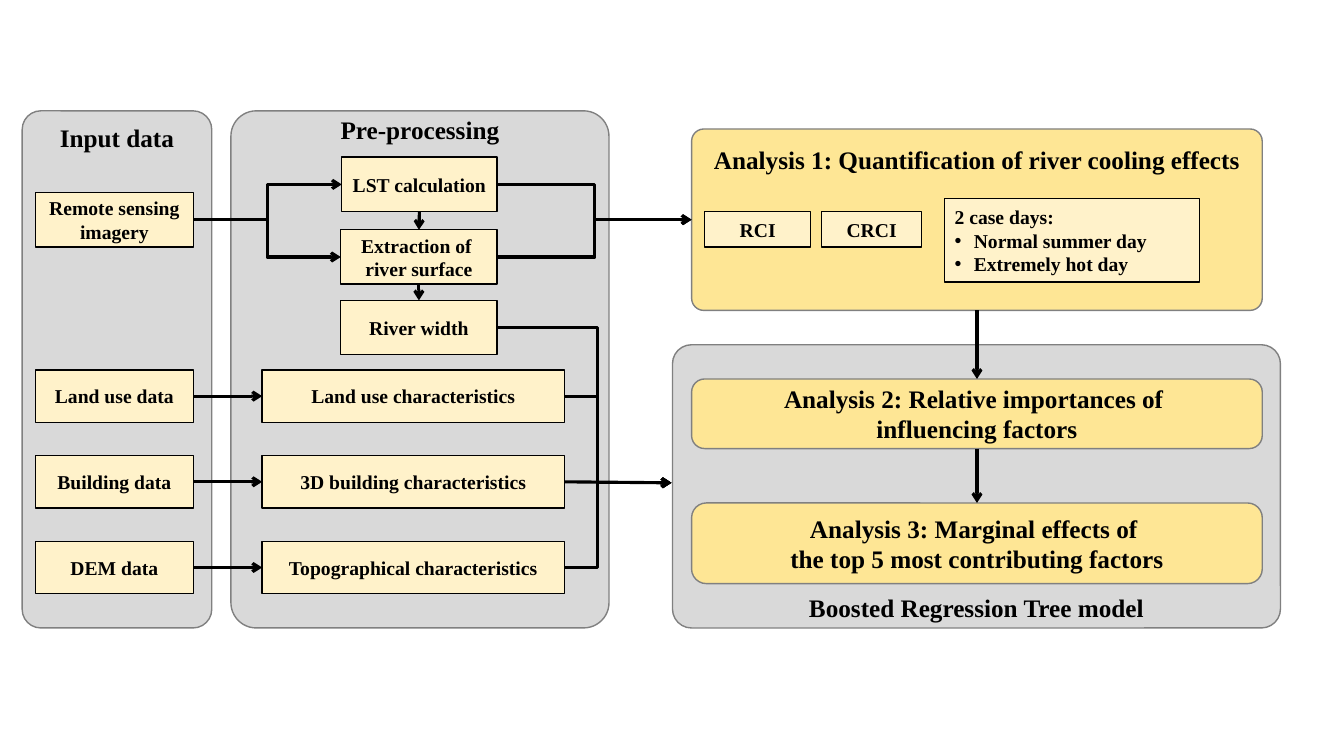
from pptx import Presentation
from pptx.dml.color import RGBColor
from pptx.enum.shapes import MSO_CONNECTOR, MSO_SHAPE
from pptx.enum.text import MSO_ANCHOR, PP_ALIGN
from pptx.oxml.ns import qn
from pptx.util import Inches, Pt
from lxml import etree

FONT = "Times New Roman"
COLORS = {"panel": "D9D9D9", "analysis": "FEE695", "box": "FFF2CA",
          "edge": "808080", "ink": "000000"}
TOP, LEFT, BOTTOM, RIGHT = range(4)

# Rounded areas: key, text, (left, top, width, height), corner, fill, anchor, inset
AREAS = [
    ("model", "Boosted Regression Tree model", (6.67, 3.42, 6.03, 2.81),
     0.067, "panel", MSO_ANCHOR.BOTTOM, 0),
    ("first", "Analysis 1: Quantification of river cooling effects",
     (6.86, 1.28, 5.66, 1.8), 0.067, "analysis", MSO_ANCHOR.TOP, 0.12),
    ("input", "Input data", (0.22, 1.1, 1.88, 5.13),
     0.098, "panel", MSO_ANCHOR.TOP, 0.06),
    ("prep", "Pre-processing", (2.29, 1.1, 3.75, 5.13),
     0.067, "panel", MSO_ANCHOR.TOP, -0.04),
    ("second", "Analysis 2: Relative importances of \ninfluencing factors",
     (6.86, 3.76, 5.66, 0.69), 0.187, "analysis", MSO_ANCHOR.MIDDLE, 0.05),
    ("third", "Analysis 3: Marginal effects of \nthe top 5 most contributing factors",
     (6.86, 4.99, 5.66, 0.8), 0.182, "analysis", MSO_ANCHOR.MIDDLE, 0.05),
]

# Plain boxes: key, text, (left, top, width, height)
BOXES = [
    ("remote", "Remote sensing imagery", (0.35, 1.91, 1.57, 0.54)),
    ("lst", "LST calculation", (3.39, 1.56, 1.54, 0.54)),
    ("river", "Extraction of \nriver surface", (3.38, 2.28, 1.55, 0.54)),
    ("width", "River width", (3.38, 2.98, 1.55, 0.54)),
    ("rci", "RCI", (6.99, 2.1, 1.05, 0.35)),
    ("crci", "CRCI", (8.15, 2.1, 0.99, 0.35)),
    ("days", "2 case days:\nNormal summer day\nExtremely hot day",
     (9.37, 1.97, 2.53, 0.83)),
]
# Rows that pair a data set with its characteristics
ROWS = [
    ("land", "Land use data", "Land use characteristics"),
    ("build", "Building data", "3D building characteristics"),
    ("dem", "DEM data", "Topographical characteristics"),
]
for i, (key, data, traits) in enumerate(ROWS):
    top = 3.67 + 0.85 * i
    BOXES += [(key, data, (0.35, top, 1.57, 0.52)),
              (key + " traits", traits, (2.6, top, 3, 0.52))]

# Arrows: from (key, side), to (key, side) or a point, x of the bend or None
HUB = (6.66, 4.79)
LINKS = [
    (("remote", RIGHT), ("lst", LEFT), 2.65),
    (("remote", RIGHT), ("river", LEFT), 2.65),
    (("lst", BOTTOM), ("river", TOP), None),
    (("river", BOTTOM), ("width", TOP), None),
    (("lst", RIGHT), ("first", LEFT), 5.9),
    (("river", RIGHT), ("first", LEFT), 5.9),
    (("width", RIGHT), HUB, 5.93),
    (("land traits", RIGHT), HUB, 5.93),
    (("build traits", RIGHT), HUB, None),
    (("dem traits", RIGHT), HUB, 5.93),
    (("first", BOTTOM), ("second", TOP), None),
    (("second", BOTTOM), ("third", TOP), None),
]
LINKS += [((key, RIGHT), (key + " traits", LEFT), None) for key, _, _ in ROWS]

deck = Presentation()
deck.slide_width, deck.slide_height = Inches(13.33), Inches(7.5)
slide = deck.slides.add_slide(deck.slide_layouts[6])
parts = {}


def color(name):
    return RGBColor.from_string(COLORS[name])


def add_part(key, kind, text, place, fill, edge, size):
    part = slide.shapes.add_shape(kind, *map(Inches, place))
    part.shadow.inherit = False
    part.fill.solid()
    part.fill.fore_color.rgb = color(fill)
    part.line.color.rgb = color(edge)
    part.line.width = Pt(1)
    frame = part.text_frame
    frame.word_wrap = True
    frame.vertical_anchor = MSO_ANCHOR.MIDDLE
    frame.text = text
    for para in frame.paragraphs:
        para.alignment = PP_ALIGN.CENTER
        for run in para.runs:
            run.font.name, run.font.size, run.font.bold = FONT, Pt(size), True
            run.font.color.rgb = color("ink")
    parts[key] = part
    return part


def add_link(start, end, bend):
    kind = MSO_CONNECTOR.STRAIGHT if bend is None else MSO_CONNECTOR.ELBOW
    x, y = map(Inches, HUB)
    link = slide.shapes.add_connector(kind, x, y, x, y)
    link.begin_connect(parts[start[0]], start[1])
    if end in (HUB,):
        link.end_x, link.end_y = x, y
    else:
        link.end_connect(parts[end[0]], end[1])
    link.line.color.rgb = color("ink")
    link.line.width = Pt(2.25)
    props = link._element.spPr
    etree.SubElement(link.line._get_or_add_ln(), qn("a:tailEnd"), type="arrow")
    etree.SubElement(props, qn("a:effectLst"))
    if bend is not None:
        share = (Inches(bend) - link.begin_x) / (link.end_x - link.begin_x)
        guides = props.find(qn("a:prstGeom")).find(qn("a:avLst"))
        etree.SubElement(guides, qn("a:gd"), name="adj1",
                         fmla=f"val {round(share * 100000)}")


# Panels and analyses
for key, text, place, corner, fill, anchor, inset in AREAS:
    area = add_part(key, MSO_SHAPE.ROUNDED_RECTANGLE, text, place, fill, "edge", 18)
    area.adjustments[0] = corner
    area.text_frame.vertical_anchor = anchor
    area.text_frame.margin_top = area.text_frame.margin_bottom = Inches(inset)

# Boxes
for key, text, place in BOXES:
    add_part(key, MSO_SHAPE.RECTANGLE, text, place, "box", "ink", 14)

# Bulleted list of case days
for i, para in enumerate(parts["days"].text_frame.paragraphs):
    para.alignment = PP_ALIGN.LEFT
    if i:
        props = para._p.get_or_add_pPr()
        props.set("marL", str(Inches(0.19)))
        props.set("indent", str(-Inches(0.19)))
        etree.SubElement(props, qn("a:buFont"), typeface="Arial")
        etree.SubElement(props, qn("a:buChar"), char="•")

# Arrows
for start, end, bend in LINKS:
    add_link(start, end, bend)

deck.save("out.pptx")
